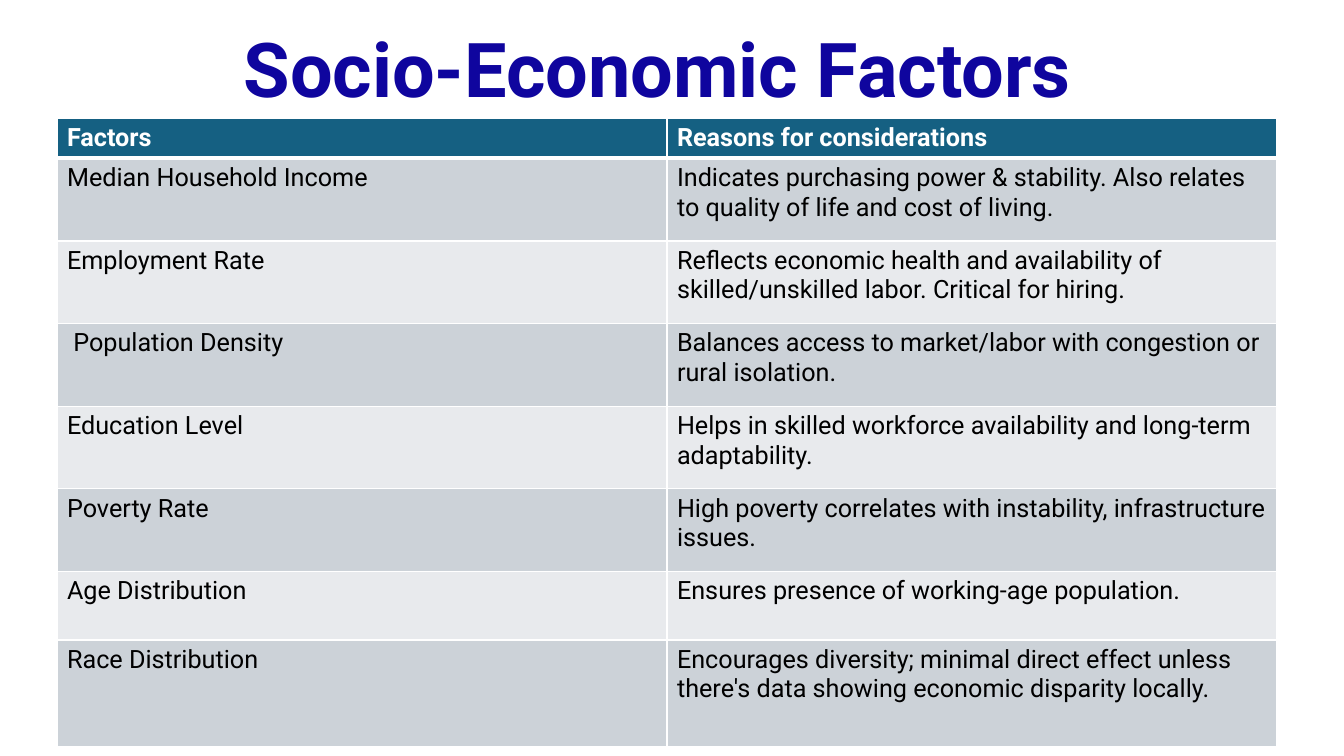
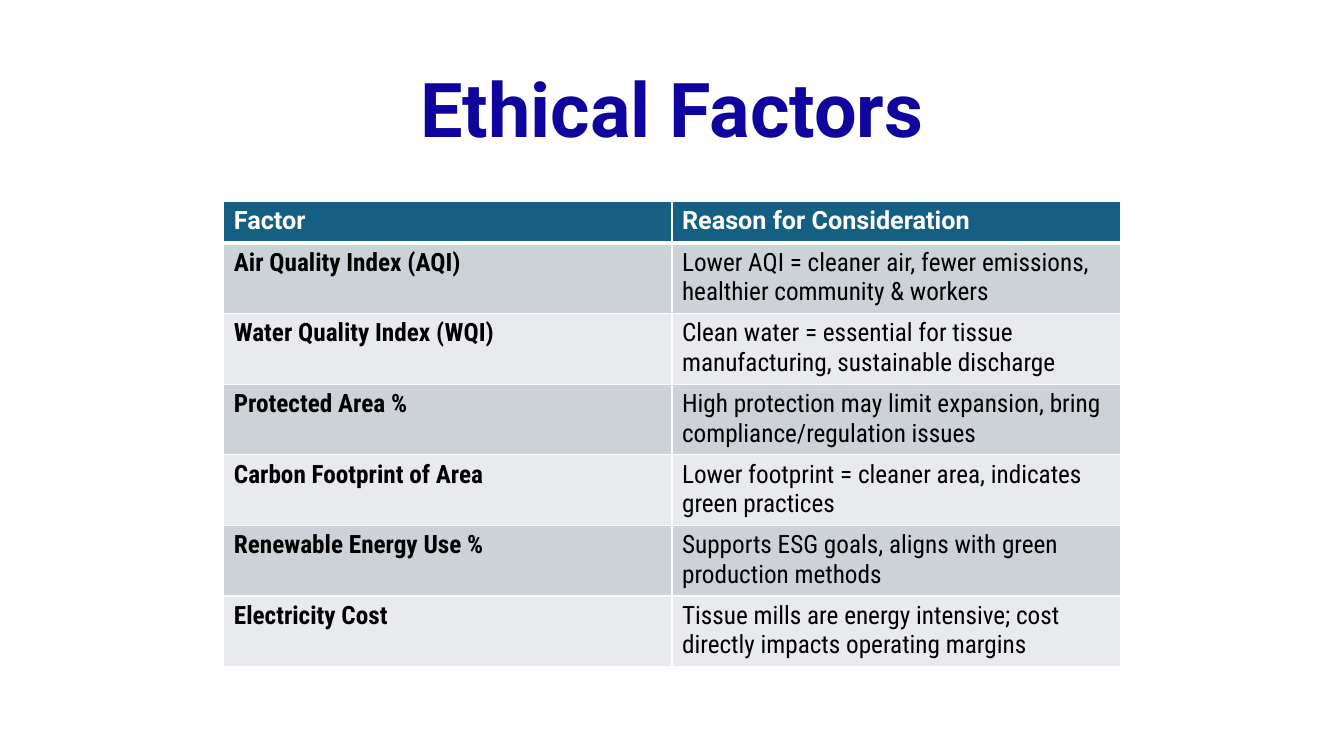
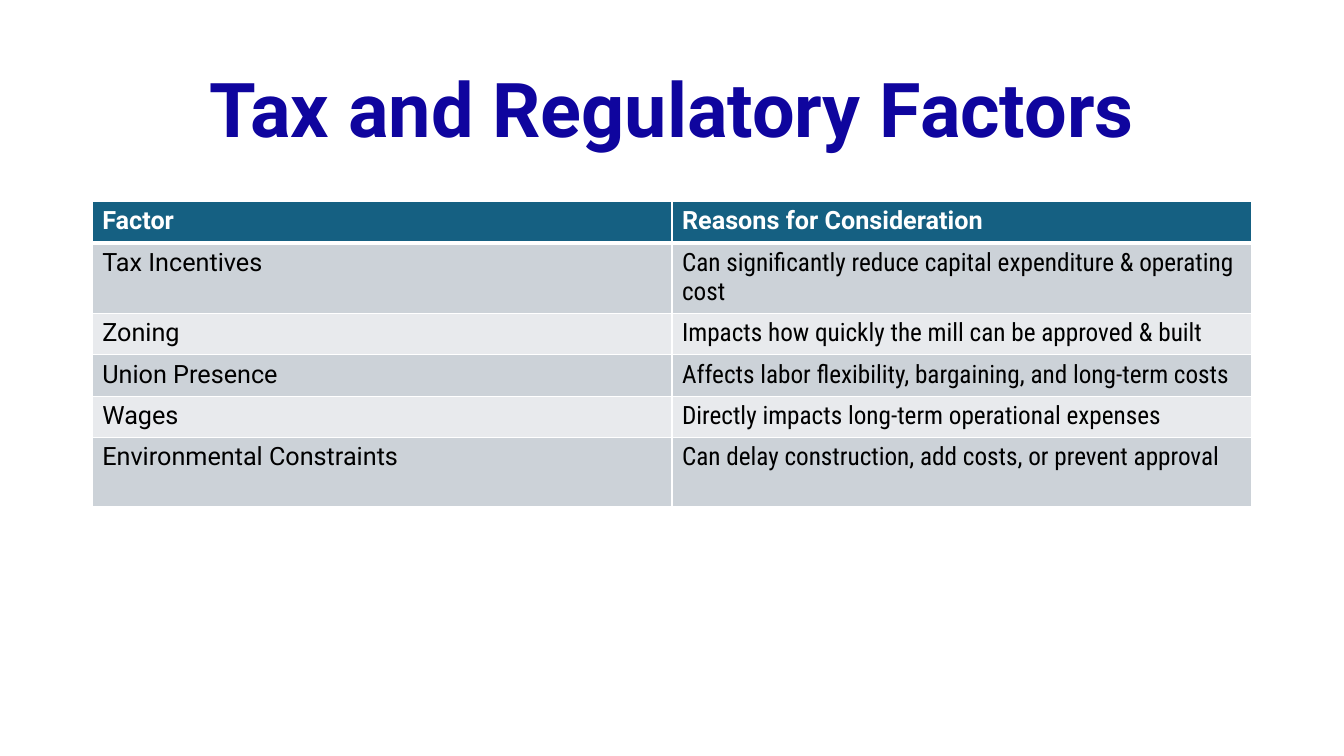
"""Build three slides of site-selection factors, each with a title and a two-column table."""
from lxml import etree
from pptx import Presentation
from pptx.dml.color import RGBColor
from pptx.enum.text import MSO_ANCHOR, PP_ALIGN
from pptx.oxml.ns import qn
from pptx.util import Emu, Inches, Pt

CENTER = PP_ALIGN.CENTER
MIDDLE = MSO_ANCHOR.MIDDLE

SLIDE_WIDTH, SLIDE_HEIGHT = 13.33, 7.5
TITLE_WIDTH, TITLE_HEIGHT = 11.5, 1.45
ROBOTO, CONDENSED = "Roboto", "Roboto Condensed"
WHITE = "FFFFFF"
HEADER_FILL = "156082"
BAND_FILLS = ("CCD2D8", "E8EAED")
THIN, THICK = 1, 3
ONE_LINE, TWO_LINES = 0.41, 0.69

TITLE_FORMAT = {"name": ROBOTO, "size": Pt(54), "bold": True, "color": "0F059E"}
HEADER_FORMAT = {"name": ROBOTO, "size": Pt(18), "bold": True, "color": WHITE}
BODY_FORMAT = {"name": ROBOTO, "size": Pt(18), "bold": False, "color": "000000"}
CONDENSED_FORMAT = BODY_FORMAT | {"name": CONDENSED}
CONDENSED_BOLD_FORMAT = CONDENSED_FORMAT | {"bold": True}

SLIDES = [
    {
        "title": "Socio-Economic Factors ",
        "title_top": 0,
        "shift": -0.05,
        "table_top": 1.17,
        "table_width": 12.1,
        "row_heights": [0.39] + [0.82] * 5 + [0.68, 1.06],
        "column_formats": (BODY_FORMAT, BODY_FORMAT),
        "rows": [
            ("Factors", "Reasons for considerations"),
            ("Median Household Income",
             "Indicates purchasing power & stability. Also relates to quality of life and cost of living."),
            ("Employment Rate",
             "Reflects economic health and availability of skilled/unskilled labor. Critical for hiring."),
            (" Population Density",
             "Balances access to market/labor with congestion or rural isolation."),
            ("Education Level",
             "Helps in skilled workforce availability and long-term adaptability."),
            ("Poverty Rate",
             "High poverty correlates with instability, infrastructure issues."),
            ("Age Distribution", "Ensures presence of working-age population."),
            ("Race Distribution",
             "Encourages diversity; minimal direct effect unless there's data showing economic disparity locally."),
        ],
    },
    {
        "title": "Ethical Factors",
        "title_top": 0.4,
        "shift": 0,
        "table_top": 2,
        "table_width": 8.89,
        "row_heights": [ONE_LINE] + [TWO_LINES] * 6,
        "column_formats": (CONDENSED_BOLD_FORMAT, CONDENSED_FORMAT),
        "rows": [
            ("Factor", "Reason for Consideration"),
            ("Air Quality Index (AQI)",
             "Lower AQI = cleaner air, fewer emissions, healthier community & workers"),
            ("Water Quality Index (WQI)",
             "Clean water = essential for tissue manufacturing, sustainable discharge"),
            ("Protected Area %",
             "High protection may limit expansion, bring compliance/regulation issues"),
            ("Carbon Footprint of Area",
             "Lower footprint = cleaner area, indicates green practices"),
            ("Renewable Energy Use %",
             "Supports ESG goals, aligns with green production methods"),
            ("Electricity Cost",
             "Tissue mills are energy intensive; cost directly impacts operating margins"),
        ],
    },
    {
        "title": "Tax and Regulatory Factors",
        "title_top": 0.4,
        "shift": 0,
        "table_top": 2,
        "table_width": 11.5,
        "row_heights": [ONE_LINE, TWO_LINES] + [ONE_LINE] * 3 + [TWO_LINES],
        "column_formats": (BODY_FORMAT, CONDENSED_FORMAT),
        "rows": [
            ("Factor", "Reasons for Consideration"),
            ("Tax Incentives",
             "Can significantly reduce capital expenditure & operating cost"),
            ("Zoning", "Impacts how quickly the mill can be approved & built"),
            ("Union Presence",
             "Affects labor flexibility, bargaining, and long-term costs"),
            ("Wages", "Directly impacts long-term operational expenses"),
            ("Environmental Constraints",
             "Can delay construction, add costs, or prevent approval"),
        ],
    },
]


def color(hex_value):
    return RGBColor.from_string(hex_value)


def write(paragraph, text, text_format):
    run = paragraph.add_run()
    run.text = text
    for attribute, value in text_format.items():
        if attribute == "color":
            run.font.color.rgb = color(value)
        else:
            setattr(run.font, attribute, value)


def add_borders(cell, top, bottom):
    properties = cell._tc.get_or_add_tcPr()
    for side, width in (("L", THIN), ("R", THIN), ("T", top), ("B", bottom)):
        line = etree.SubElement(properties, qn(f"a:ln{side}"), w=str(Pt(width)))
        fill = etree.SubElement(line, qn("a:solidFill"))
        etree.SubElement(fill, qn("a:srgbClr"), val=WHITE)


def centered_left(width, shift):
    return Inches((SLIDE_WIDTH - width) / 2 + shift)


def add_title(slide, content):
    box = slide.shapes.add_textbox(
        centered_left(TITLE_WIDTH, content["shift"]), Inches(content["title_top"]),
        Inches(TITLE_WIDTH), Inches(TITLE_HEIGHT))
    frame = box.text_frame
    frame.word_wrap = True
    frame.vertical_anchor = MIDDLE
    paragraph = frame.paragraphs[0]
    paragraph.alignment = CENTER
    paragraph.line_spacing = 0.9
    write(paragraph, content["title"], TITLE_FORMAT)


def add_factor_table(slide, content):
    rows, heights = content["rows"], content["row_heights"]
    width = Inches(content["table_width"])
    table = slide.shapes.add_table(
        len(rows), len(rows[0]), centered_left(content["table_width"], content["shift"]),
        Inches(content["table_top"]), width, Inches(sum(heights))).table
    for column in table.columns:
        column.width = Emu(width // len(rows[0]))
    for row_index, (texts, height) in enumerate(zip(rows, heights)):
        table.rows[row_index].height = Inches(height)
        is_header = row_index == 0
        fill = HEADER_FILL if is_header else BAND_FILLS[(row_index - 1) % 2]
        for column_index, text in enumerate(texts):
            cell = table.cell(row_index, column_index)
            add_borders(cell, THICK if row_index == 1 else THIN, THICK if is_header else THIN)
            cell.fill.solid()
            cell.fill.fore_color.rgb = color(fill)
            text_format = HEADER_FORMAT if is_header else content["column_formats"][column_index]
            write(cell.text_frame.paragraphs[0], text, text_format)


def main():
    presentation = Presentation()
    presentation.slide_width = Inches(SLIDE_WIDTH)
    presentation.slide_height = Inches(SLIDE_HEIGHT)
    for content in SLIDES:
        slide = presentation.slides.add_slide(presentation.slide_layouts[6])
        add_title(slide, content)
        add_factor_table(slide, content)
    presentation.save("out.pptx")


if __name__ == "__main__":
    main()
